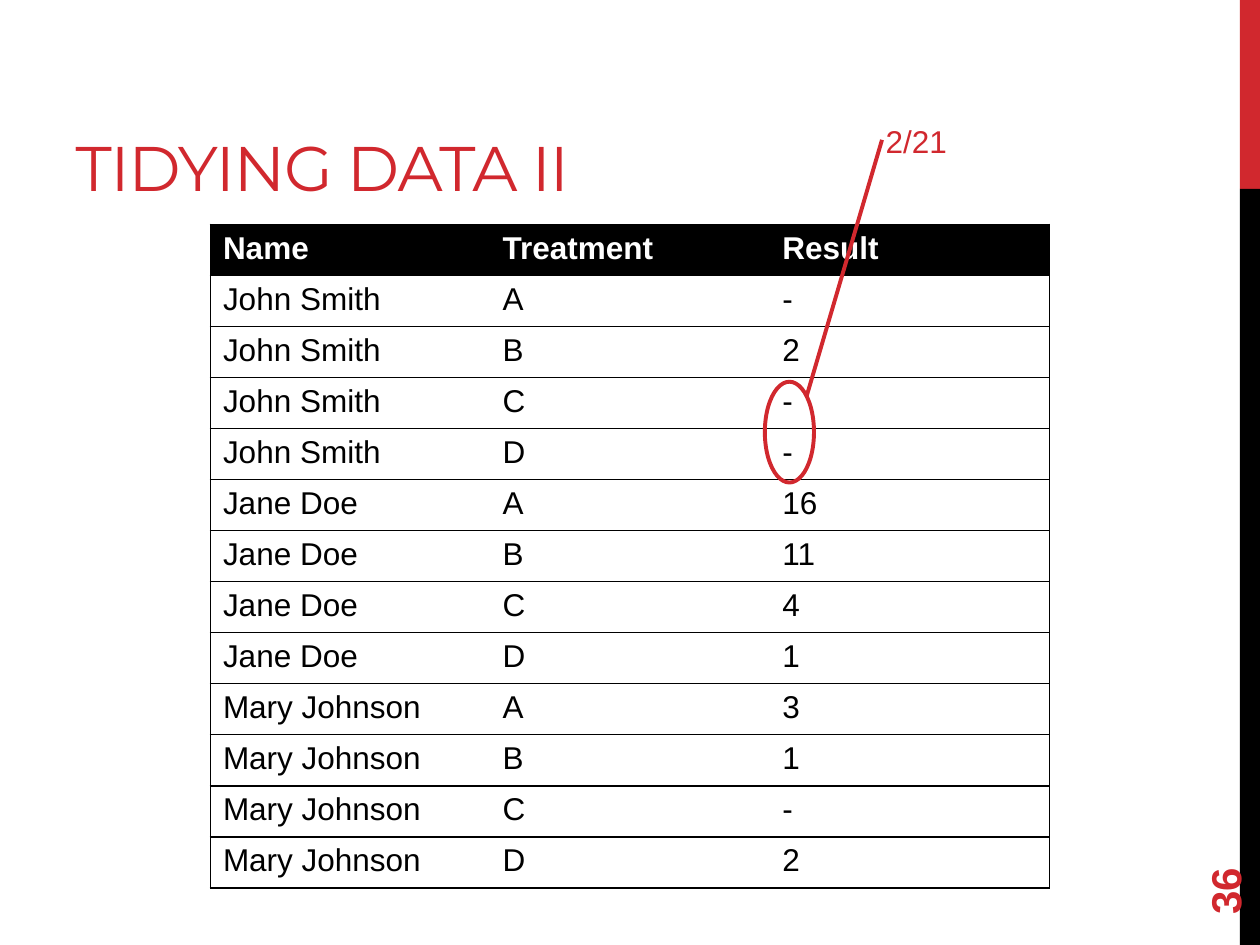
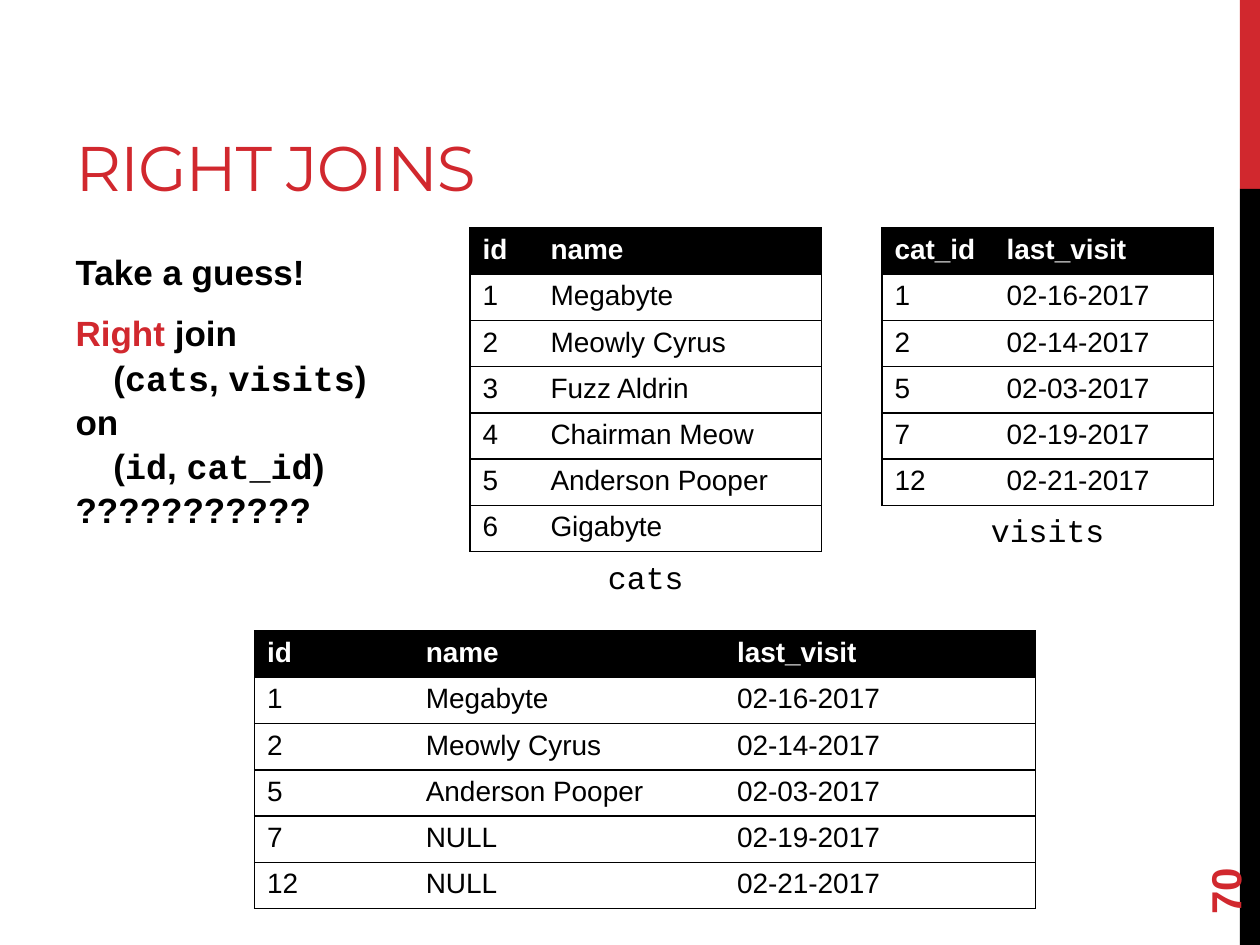
from dataclasses import dataclass
from typing import NamedTuple

from pptx import Presentation, util as u
from pptx.dml.color import RGBColor
from pptx.enum import shapes, text
from pptx.oxml.ns import qn
from lxml import etree

COLORS = {"accent": "D1282E", "ink": "000000", "paper": "FFFFFF"}
SANS, MONO, DISPLAY = "Arial", "Courier New", "Montserrat"
Inches, Pt = u.Inches, u.Pt


class Box(NamedTuple):
    left: float
    top: float
    width: float
    height: float

    def lengths(self) -> list:
        return [Inches(value) for value in self]


class Style(NamedTuple):
    size: float
    color: str = "ink"
    font: str = SANS
    bold: bool = False


@dataclass
class Grid:
    left: float
    top: float
    height: float
    columns: list[float]
    size: float
    rows: list[tuple]

    @property
    def width(self) -> float:
        return sum(self.columns)


@dataclass
class Line:
    runs: list[tuple]
    indent: float = 0
    before: float = 0
    after: float = 0


TITLE_BOX = Box(0.5, 0.17, 6.33, 1.5)
BODY_BOX = Box(0.5, 1.92, 8.33, 4.78)
NUMBER_BOX = Box(9, 6.44, 1.44, 0.4)
BANDS = [("accent", Box(9.84, 0, 0.16, 1.5)), ("ink", Box(9.84, 1.5, 0.16, 6))]
LABEL_HEIGHT = 0.4

RESULTS = {
    "John Smith": ["-", "2", "-", "-"],
    "Jane Doe": ["16", "11", "4", "1"],
    "Mary Johnson": ["3", "1", "-", "2"],
}
TREATMENTS = Grid(1.67, 1.78, 5.27, [2.22] * 3, 18, [
    ("Name", "Treatment", "Result"),
    *[(name, treatment, result) for name, results in RESULTS.items()
      for treatment, result in zip("ABCD", results)],
])

CAT_NAMES = {
    "1": "Megabyte", "2": "Meowly Cyrus", "3": "Fuzz Aldrin",
    "4": "Chairman Meow", "5": "Anderson Pooper", "6": "Gigabyte",
}
LAST_VISITS = {
    "1": "02-16-2017", "2": "02-14-2017", "5": "02-03-2017",
    "7": "02-19-2017", "12": "02-21-2017",
}
CATS = Grid(3.73, 1.81, 2.57, [0.54, 2.25], 16,
            [("id", "name"), *CAT_NAMES.items()])
VISITS = Grid(7, 1.81, 2.2, [0.89, 1.74], 16,
              [("cat_id", "last_visit"), *LAST_VISITS.items()])
JOINED = Grid(2.02, 5.01, 2.2, [1.26, 2.47, 2.47], 16, [
    ("id", "name", "last_visit"),
    *[(cat, CAT_NAMES.get(cat, "NULL"), visit) for cat, visit in LAST_VISITS.items()],
])

BODY = Style(20, bold=True)
CODE = BODY._replace(font=MONO)
JOIN_LINES = [
    Line([("Take a guess!", BODY)], after=6),
    Line([("Right", BODY._replace(color="accent")), (" join", BODY)], before=4),
    Line([("(", BODY), ("cats", CODE), (", ", BODY), ("visits", CODE), (")", BODY)], 0.3),
    Line([("on", BODY)]),
    Line([("(", BODY), ("id", CODE), (", ", BODY), ("cat_id", CODE), (")", BODY)], 0.3),
    Line([("???????????", BODY)]),
]


def rgb(color: str) -> RGBColor:
    return RGBColor.from_string(COLORS[color])


def format_runs(paragraph, style: Style) -> None:
    for run in paragraph.runs:
        format_run(run, style)


def format_run(run, style: Style) -> None:
    run.font.size = Pt(style.size)
    run.font.name = style.font
    run.font.bold = style.bold
    run.font.color.rgb = rgb(style.color)


def place(shape, box: Box) -> None:
    shape.left, shape.top, shape.width, shape.height = box.lengths()


def add_label(parent, box: Box, words: str, style: Style, centred: bool = False):
    label = parent.add_textbox(*box.lengths())
    frame = label.text_frame
    frame.word_wrap = True
    frame.text = words
    paragraph = frame.paragraphs[0]
    paragraph.alignment = text.PP_ALIGN.CENTER if centred else text.PP_ALIGN.LEFT
    format_runs(paragraph, style)
    return label


def add_base_slide(presentation, layout: int, title: str, number: str):
    slide = presentation.slides.add_slide(presentation.slide_layouts[layout])
    for color, box in BANDS:
        band = slide.shapes.add_shape(shapes.MSO_SHAPE.RECTANGLE, *box.lengths())
        band.shadow.inherit = False
        band.fill.solid()
        band.fill.fore_color.rgb = rgb(color)
        band.line.fill.background()
    heading = slide.shapes.title
    place(heading, TITLE_BOX)
    frame = heading.text_frame
    frame.text = title
    frame.auto_size = text.MSO_AUTO_SIZE.NONE
    frame.vertical_anchor = text.MSO_ANCHOR.BOTTOM
    paragraph = frame.paragraphs[0]
    paragraph.alignment = text.PP_ALIGN.LEFT
    format_runs(paragraph, Style(36, "accent", DISPLAY))
    paragraph.runs[0].font._element.set("spc", "-60")
    page = add_label(slide.shapes, NUMBER_BOX, number, Style(24, "accent", bold=True))
    page.rotation = 270
    page.text_frame.vertical_anchor = text.MSO_ANCHOR.MIDDLE
    return slide


def add_border(cell, side: str, visible: bool) -> None:
    properties = cell._tc.get_or_add_tcPr()
    border = etree.SubElement(properties, qn(f"a:ln{side}"), w=str(Pt(1)))
    if visible:
        fill = etree.SubElement(border, qn("a:solidFill"))
        etree.SubElement(fill, qn("a:srgbClr"), val=COLORS["ink"])
    else:
        etree.SubElement(border, qn("a:noFill"))


def add_grid(slide, grid: Grid) -> None:
    box = Box(grid.left, grid.top, grid.width, grid.height)
    table = slide.shapes.add_table(len(grid.rows), len(grid.columns), *box.lengths()).table
    table.horz_banding = False
    for column, width in zip(table.columns, grid.columns):
        column.width = Inches(width)
    last = len(grid.columns) - 1
    for row_index, row in enumerate(grid.rows):
        header = row_index == 0
        style = Style(grid.size, "paper" if header else "ink", bold=header)
        for column_index, words in enumerate(row):
            cell = table.cell(row_index, column_index)
            add_border(cell, "L", column_index == 0)
            add_border(cell, "R", column_index == last)
            add_border(cell, "T", True)
            add_border(cell, "B", True)
            cell.fill.solid()
            cell.fill.fore_color.rgb = rgb("ink" if header else "paper")
            cell.text_frame.text = words
            format_runs(cell.text_frame.paragraphs[0], style)


def add_caption(slide, grid: Grid, words: str) -> None:
    box = Box(grid.left, grid.top + grid.height, grid.width, LABEL_HEIGHT)
    add_label(slide.shapes, box, words, Style(18, font=MONO), centred=True)


def add_callout(slide) -> None:
    group = slide.shapes.add_group_shape()
    ring = group.shapes.add_shape(shapes.MSO_SHAPE.OVAL, *Box(6.07, 3.03, 0.39, 0.8).lengths())
    ring.shadow.inherit = False
    ring.fill.background()
    ends = [Inches(value) for value in (6.4, 3.15, 7, 1.11)]
    leader = group.shapes.add_connector(shapes.MSO_CONNECTOR.STRAIGHT, *ends)
    etree.SubElement(leader._element.spPr, qn("a:effectLst"))
    for outlined in (ring, leader):
        outlined.line.color.rgb = rgb("accent")
        outlined.line.width = Pt(2.25)
    add_label(group.shapes, Box(6.93, 0.92, 1.56, LABEL_HEIGHT), "2/21", Style(18, "accent"))


def fill_body(slide, lines: list[Line]) -> None:
    body = slide.placeholders[1]
    place(body, BODY_BOX)
    frame = body.text_frame
    frame.auto_size = text.MSO_AUTO_SIZE.NONE
    for index, line in enumerate(lines):
        paragraph = frame.add_paragraph() if index else frame.paragraphs[0]
        properties = paragraph._p.get_or_add_pPr()
        properties.set("marL", str(Inches(line.indent)))
        properties.set("indent", "0")
        etree.SubElement(properties, qn("a:buNone"))
        paragraph.line_spacing = 1.05
        paragraph.space_before = Pt(line.before)
        paragraph.space_after = Pt(line.after)
        for words, style in line.runs:
            run = paragraph.add_run()
            run.text = words
            format_run(run, style)


def build_tidying_slide(presentation) -> None:
    slide = add_base_slide(presentation, 5, "TIDYING DATA II", "36")
    add_grid(slide, TREATMENTS)
    add_callout(slide)


def build_joins_slide(presentation) -> None:
    slide = add_base_slide(presentation, 1, "RIGHT JOINS", "70")
    fill_body(slide, JOIN_LINES)
    for grid in (CATS, VISITS, JOINED):
        add_grid(slide, grid)
    add_caption(slide, CATS, "cats")
    add_caption(slide, VISITS, "visits")


def main() -> None:
    presentation = Presentation()
    presentation.slide_width = Inches(10)
    presentation.slide_height = Inches(7.5)
    build_tidying_slide(presentation)
    build_joins_slide(presentation)
    presentation.save("out.pptx")


if __name__ == "__main__":
    main()
